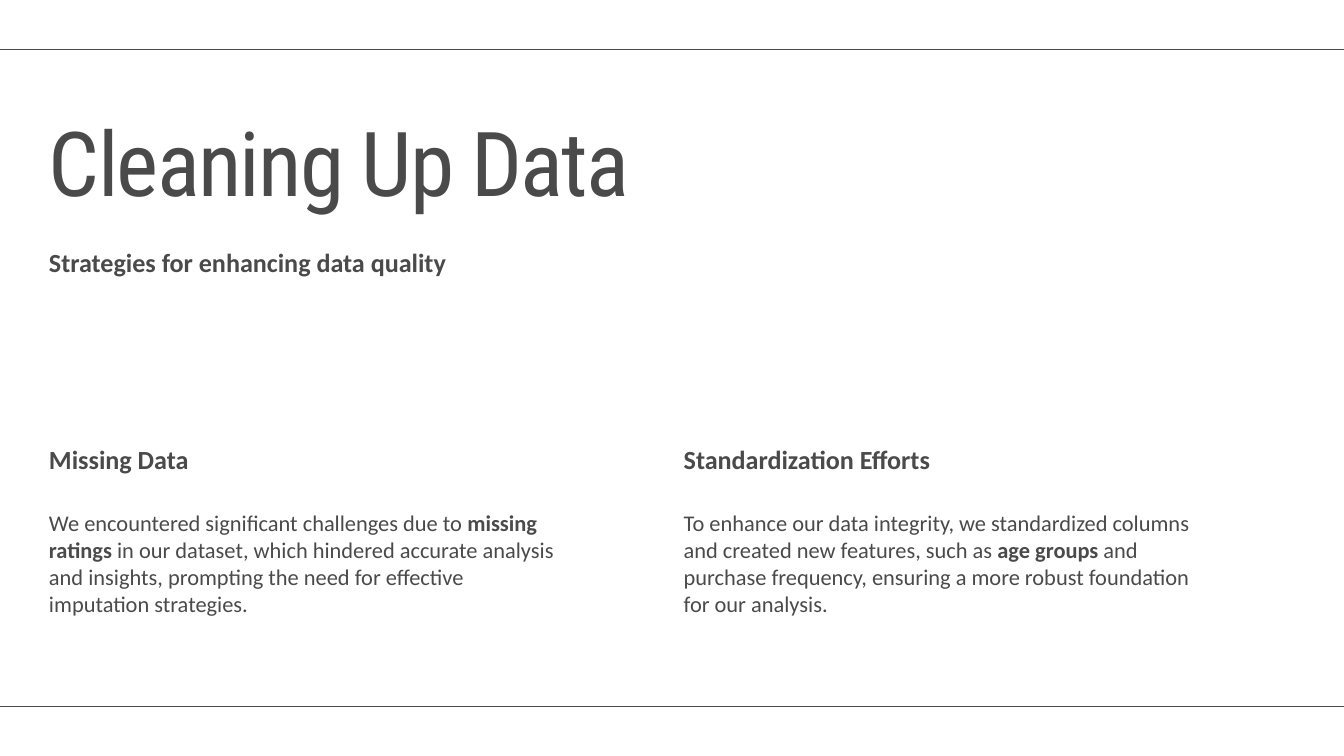
from lxml import etree
from pptx import Presentation
from pptx.dml.color import RGBColor
from pptx.enum import shapes, text
from pptx.oxml import ns
from pptx.util import Pt

COLORS = {"paper": "FFFFFF", "ink": "4A4A4A"}
BODY_FONT, TITLE_FONT = "Calibri", "Roboto Condensed"
WIDTH, HEIGHT = 1440, 810
MARGIN = 52.5
RULE_INSET = 53
COLUMN_WIDTH, COLUMN_STEP = 542, 680
COLUMN_TOP = 475

COLUMNS = [
    ("Missing Data", [
        ("We encountered significant challenges due to ", False),
        ("missing ratings", True),
        (" in our dataset, which hindered accurate analysis and insights, "
         "prompting the need for effective imputation strategies.", False)]),
    ("Standardization Efforts", [
        ("To enhance our data integrity, we standardized columns and created "
         "new features, such as ", False),
        ("age groups", True),
        (" and purchase frequency, ensuring a more robust foundation for our "
         "analysis.", False)]),
]


def write(frame, runs, size, spacing, font=BODY_FONT, tracking=None):
    frame.margin_left = frame.margin_right = 0
    frame.margin_top = frame.margin_bottom = 0
    frame.word_wrap = True
    frame.auto_size = text.MSO_AUTO_SIZE.NONE
    frame.vertical_anchor = text.MSO_ANCHOR.TOP
    paragraph = frame.paragraphs[0]
    paragraph.alignment = text.PP_ALIGN.LEFT
    paragraph.line_spacing = Pt(spacing)
    paragraph.space_before = Pt(0)
    for words, bold in runs:
        run = paragraph.add_run()
        run.text = words
        run.font.name = font
        run.font.size = Pt(size)
        run.font.bold = bold
        run.font.color.rgb = RGBColor.from_string(COLORS["ink"])
        if tracking is not None:
            run.font._element.set("spc", str(round(tracking * 100)))


def add_text(slide, left, top, width, height, runs, size, spacing):
    box = slide.shapes.add_textbox(Pt(left), Pt(top), Pt(width), Pt(height))
    write(box.text_frame, runs, size, spacing)


def add_subheading(slide, left, top, width, words):
    add_text(slide, left, top, width, 33.5, [(words, True)], 28, 33.6)


def add_header(slide, left, top, width):
    title = slide.shapes.title
    title.left, title.top = Pt(left), Pt(top)
    title.width, title.height = Pt(width), Pt(104.5)
    write(title.text_frame, [("Cleaning Up Data", False)], 96, 96,
          TITLE_FONT, -1.9)
    add_subheading(slide, left, top + 130, width,
                   "Strategies for enhancing data quality")


def add_column(slide, left, top, width, heading, runs):
    add_subheading(slide, left, top, width, heading)
    add_text(slide, left, top + 71, width, 114, runs, 24, 28.8)


def add_rule(slide, left, top, width):
    rule = slide.shapes.add_connector(
        shapes.MSO_CONNECTOR.STRAIGHT,
        Pt(left), Pt(top), Pt(left + width), Pt(top))
    rule.line.color.rgb = RGBColor.from_string(COLORS["ink"])
    rule.line.width = Pt(1.5)
    etree.SubElement(rule._element.spPr, ns.qn("a:effectLst"))


def main():
    deck = Presentation()
    deck.slide_width, deck.slide_height = Pt(WIDTH), Pt(HEIGHT)
    slide = deck.slides.add_slide(deck.slide_layouts.get_by_name("Title Only"))
    slide.background.fill.solid()
    slide.background.fill.fore_color.rgb = RGBColor.from_string(COLORS["paper"])

    add_header(slide, MARGIN, 134, WIDTH - 2 * MARGIN)
    for index, (heading, runs) in enumerate(COLUMNS):
        add_column(slide, MARGIN + index * COLUMN_STEP, COLUMN_TOP,
                   COLUMN_WIDTH, heading, runs)
    for top in (RULE_INSET, HEIGHT - RULE_INSET):
        add_rule(slide, 0, top, WIDTH)

    deck.save("out.pptx")


if __name__ == "__main__":
    main()
